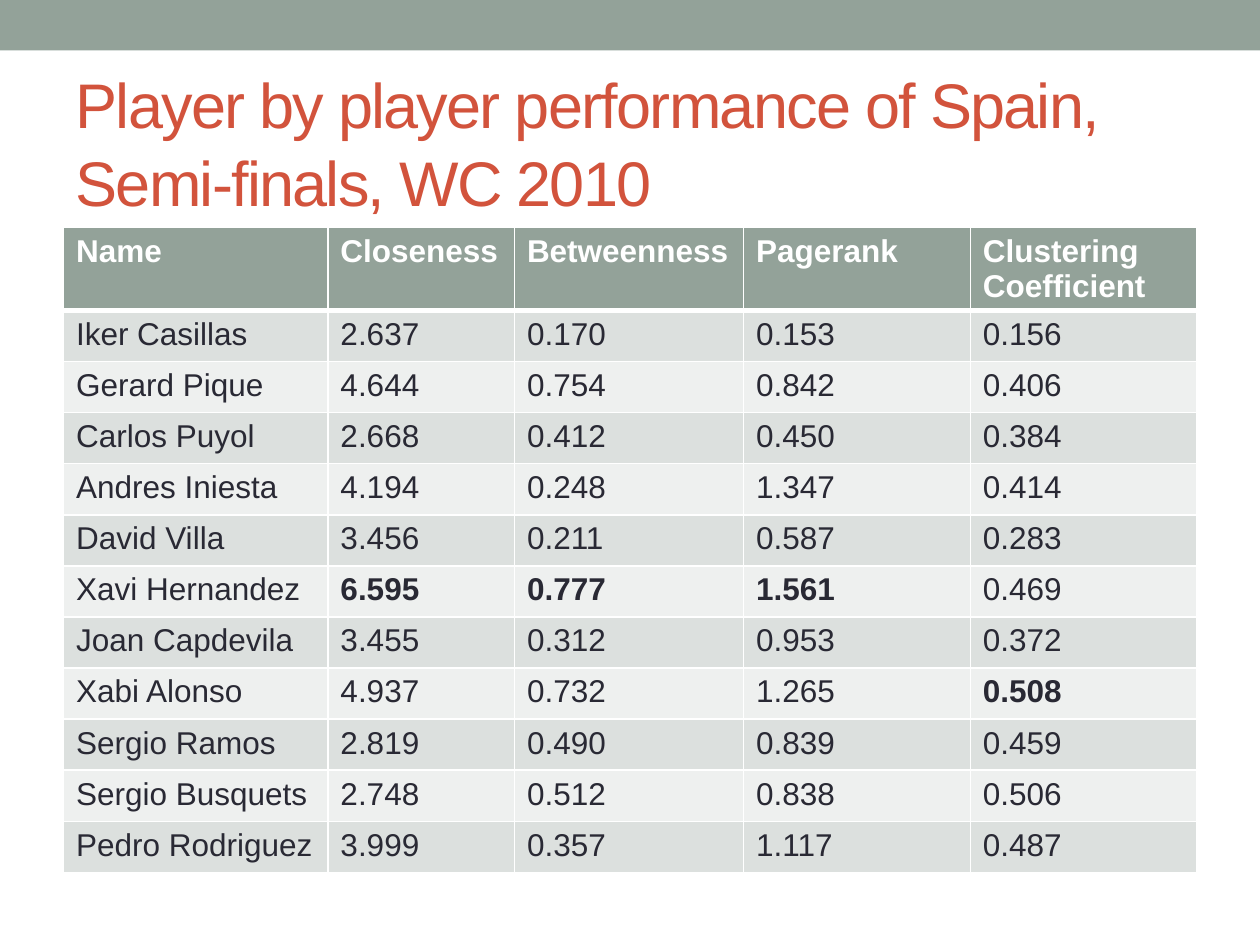
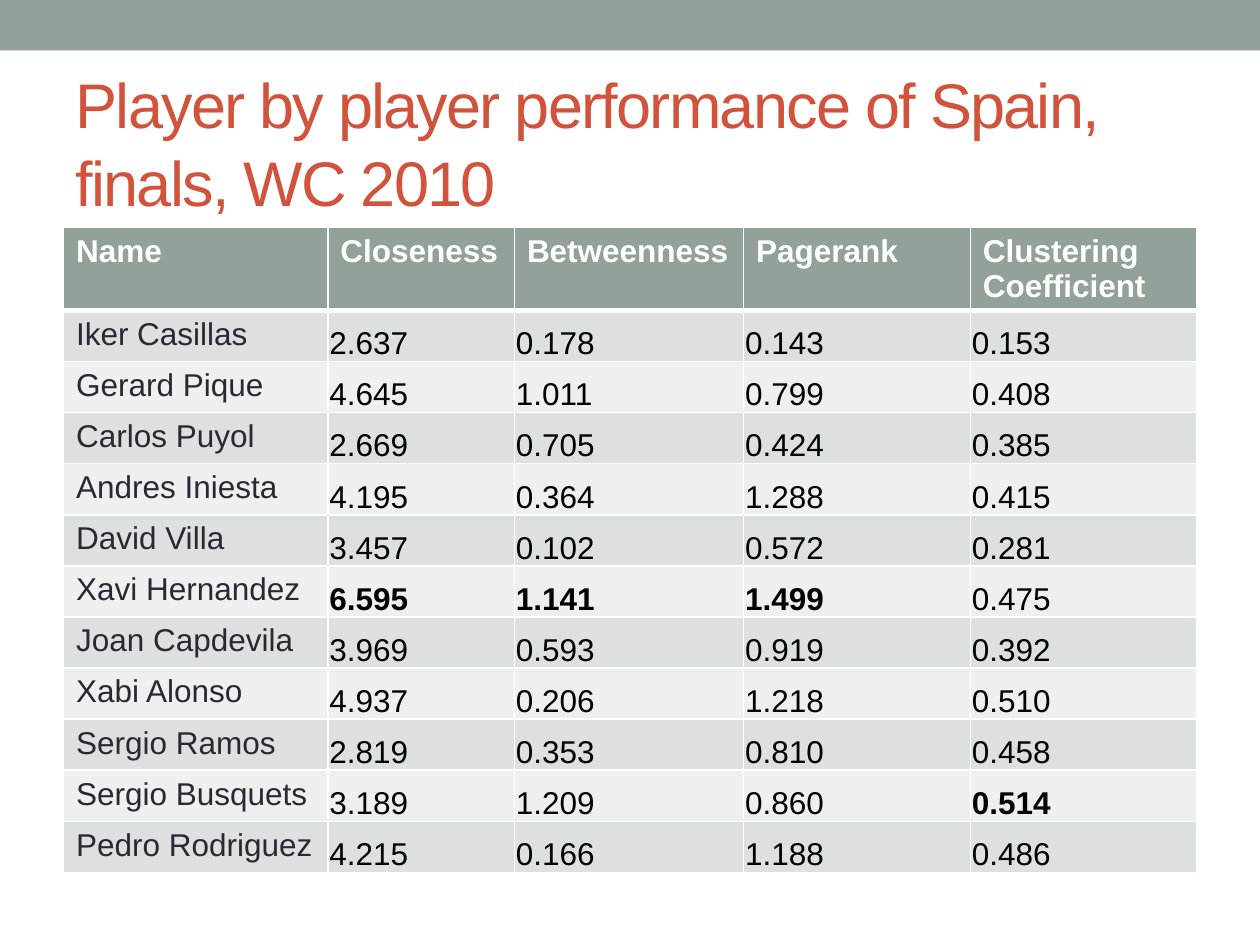
from dataclasses import dataclass
from typing import Any

from lxml.etree import SubElement as Sub
from pptx import Presentation as Deck
from pptx.dml.color import RGBColor as Rgb
from pptx.enum.shapes import MSO_SHAPE as Form
from pptx.enum.text import MSO_ANCHOR as Anchor, MSO_AUTO_SIZE as Auto, PP_ALIGN as Align
from pptx.oxml.ns import qn
from pptx.util import Cm, Pt


# Colours and type sizes
@dataclass(frozen=True)
class Theme:
    font: str = "Arial"
    sage: str = "93A299"
    rust: str = "D2533C"
    ink: str = "292934"
    black: str = "000000"
    white: str = "FFFFFF"
    bands: tuple[str, str] = ("DCE0DE", "EEF0EF")
    head: int = 36
    body: int = 18


@dataclass(frozen=True)
class Match:
    title: str
    stats: str           # one line for each player
    best: set[str]       # values in bold
    tight: bool          # black figures at the foot of the cell


LOOK = Theme()
WIDE, HIGH = Cm(25.4), Cm(19.05)
COLS = (5.33, 3.76, 4.62, 4.57, 4.57)
TOP_ROW, ROW = 1.66, 1.03
HEADS = ("Name", "Closeness", "Betweenness", "Pagerank", "Clustering Coefficient")
NAMES = (
    "Iker Casillas", "Gerard Pique", "Carlos Puyol", "Andres Iniesta",
    "David Villa", "Xavi Hernandez", "Joan Capdevila", "Xabi Alonso",
    "Sergio Ramos", "Sergio Busquets", "Pedro Rodriguez",
)
TIGHT = {
    "vertical_anchor": Anchor.BOTTOM, "margin_left": Cm(0.03),
    "margin_right": Cm(0.03), "margin_top": Cm(0.03), "margin_bottom": 0,
}

SEMI = Match(
    "Player by player performance of Spain, Semi-finals, WC 2010",
    """2.637 0.170 0.153 0.156
    4.644 0.754 0.842 0.406
    2.668 0.412 0.450 0.384
    4.194 0.248 1.347 0.414
    3.456 0.211 0.587 0.283
    6.595 0.777 1.561 0.469
    3.455 0.312 0.953 0.372
    4.937 0.732 1.265 0.508
    2.819 0.490 0.839 0.459
    2.748 0.512 0.838 0.506
    3.999 0.357 1.117 0.487""",
    {"6.595", "0.777", "1.561", "0.508"}, False,
)
FINAL = Match(
    "Player by player performance of Spain, finals, WC 2010",
    """2.637 0.178 0.143 0.153
    4.645 1.011 0.799 0.408
    2.669 0.705 0.424 0.385
    4.195 0.364 1.288 0.415
    3.457 0.102 0.572 0.281
    6.595 1.141 1.499 0.475
    3.969 0.593 0.919 0.392
    4.937 0.206 1.218 0.510
    2.819 0.353 0.810 0.458
    3.189 1.209 0.860 0.514
    4.215 0.166 1.188 0.486""",
    {"6.595", "1.141", "1.499", "0.514"}, True,
)


# Shared helpers
def put(item: Any, vals: dict[str, Any]) -> None:
    for key, val in vals.items():
        setattr(item, key, val)


def paint(item: Any, tone: str) -> None:
    item.fill.solid()
    item.fill.fore_color.rgb = Rgb.from_string(tone)


def write(frame: Any, text: str, size: int, tone: str, bold: bool = False) -> Any:
    par = frame.paragraphs[0]
    par.alignment = Align.LEFT
    run = par.add_run()
    run.text = text
    put(run.font, {"name": LOOK.font, "size": Pt(size), "bold": bold})
    run.font.color.rgb = Rgb.from_string(tone)
    return run


def edge(cell: Any, foot: int) -> None:
    """White cell borders; they must stand before the fill."""
    props = cell._tc.get_or_add_tcPr()
    for spot, (tag, wide) in enumerate({"lnL": 1, "lnR": 1, "lnT": 1, "lnB": foot}.items()):
        line = Sub(props, qn(f"a:{tag}"), w=str(Pt(wide)))
        Sub(Sub(line, qn("a:solidFill")), qn("a:srgbClr"), val=LOOK.white)
        props.insert(spot, line)


# Parts of a slide
def add_band(deck: Any, page: Any) -> None:
    """Draw the top band and hand it over to the slide master."""
    band = page.shapes.add_shape(Form.RECTANGLE, 0, 0, WIDE, Cm(1.02))
    band.shadow.inherit = False
    paint(band, LOOK.sage)
    band.line.fill.background()
    band.element.nvSpPr.cNvPr.id = 20
    deck.slide_master.element.cSld.spTree.insert(2, band.element)


def add_head(page: Any, text: str) -> None:
    head = page.shapes.title
    put(head, {"left": Cm(1.27), "top": Cm(1.47), "width": Cm(22.86), "height": Cm(2.74)})
    put(head.text_frame, {
        "word_wrap": True, "auto_size": Auto.NONE, "vertical_anchor": Anchor.MIDDLE,
    })
    run = write(head.text_frame, text, LOOK.head, LOOK.rust)
    run.font._element.set("spc", "-100")
    head.text_frame.paragraphs[0].line_spacing = 1.04


def add_grid(page: Any, match: Match) -> None:
    stats = [line.split() for line in match.stats.splitlines()]
    rows = [HEADS, *((name, *vals) for name, vals in zip(NAMES, stats))]
    tall = TOP_ROW + ROW * len(NAMES)
    grid = page.shapes.add_table(
        len(rows), len(COLS), Cm(1.28), Cm(4.58), Cm(sum(COLS)), Cm(tall)).table
    put(grid, {"first_row": True, "horz_banding": False})
    for col, wide in zip(grid.columns, COLS):
        col.width = Cm(wide)
    for r, vals in enumerate(rows):
        top = r == 0
        grid.rows[r].height = Cm(TOP_ROW if top else ROW)
        for c, text in enumerate(vals):
            cell = grid.cell(r, c)
            snug = match.tight and not top and c > 0
            tone = LOOK.white if top else LOOK.black if snug else LOOK.ink
            paint(cell, LOOK.sage if top else LOOK.bands[(r - 1) % 2])
            edge(cell, 3 if top else 1)
            if snug:
                put(cell, TIGHT)
            write(cell.text_frame, text, LOOK.body, tone, top or text in match.best)


def main() -> None:
    deck = Deck()
    put(deck, {"slide_width": WIDE, "slide_height": HIGH})
    plain = deck.slide_layouts.get_by_name("Title Only")
    for match in (SEMI, FINAL):
        page = deck.slides.add_slide(plain)
        if match is SEMI:
            add_band(deck, page)
        add_head(page, match.title)
        add_grid(page, match)
    deck.save("out.pptx")


main()
